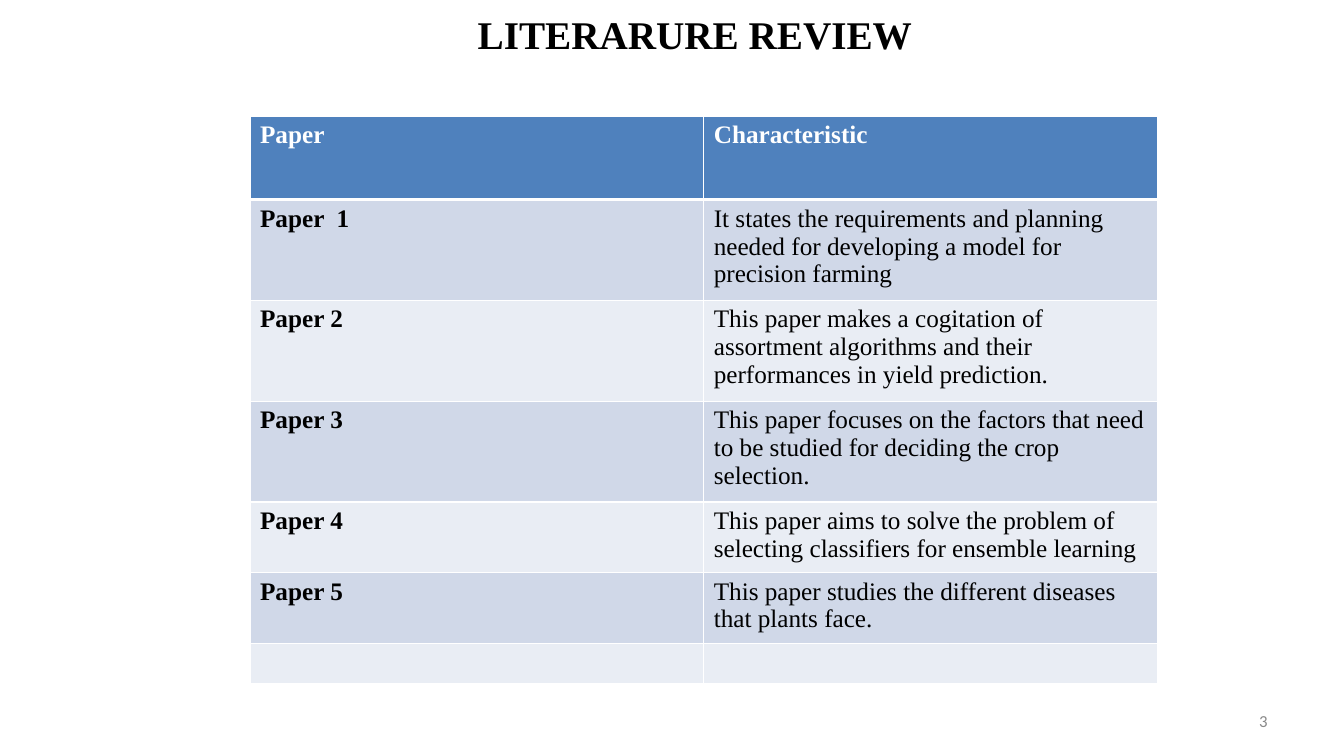
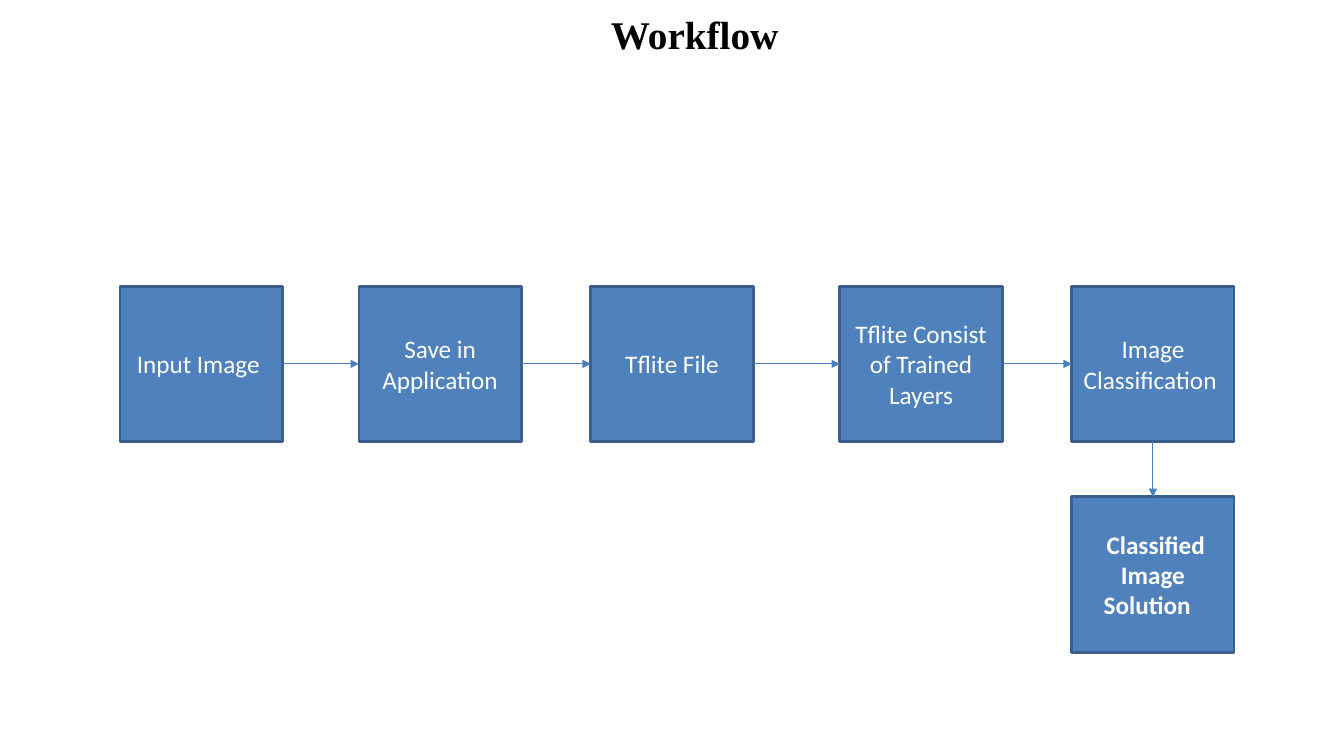
from lxml import etree
from pptx import Presentation
from pptx.dml.color import RGBColor
from pptx.enum.shapes import MSO_CONNECTOR, MSO_SHAPE
from pptx.enum.text import MSO_ANCHOR, PP_ALIGN
from pptx.oxml.ns import qn
from pptx.util import Inches, Pt

COLORS = {
    "black": "000000",
    "white": "FFFFFF",
    "blue": "4F81BD",
    "outline": "3A5F8C",
    "arrow": "4B7EBC",
    "band_dark": "D0D8E8",
    "band_light": "E9EDF4",
    "page_number": "898989",
}
SERIF = "Times New Roman"
SANS = "Calibri"


def color(name):
    return RGBColor.from_string(COLORS[name])


def write(text_frame, text, size, font, color_name, bold=False, align=None):
    """Put one formatted run into the first paragraph of text_frame."""
    paragraph = text_frame.paragraphs[0]
    paragraph.alignment = align
    run = paragraph.add_run()
    run.text = text
    run.font.size = Pt(size)
    run.font.name = font
    run.font.bold = bold
    run.font.color.rgb = color(color_name)


presentation = Presentation()
presentation.slide_width = Inches(13.33)
presentation.slide_height = Inches(7.5)
title_only = presentation.slide_layouts[5]

# Both slides share the title position and style
slides = []
for heading in ("LITERARURE REVIEW", "Workflow"):
    slide = presentation.slides.add_slide(title_only)
    title = slide.shapes.title
    title.left, title.top = Inches(0.89), Inches(0)
    title.width, title.height = Inches(12), Inches(0.67)
    title.text_frame.vertical_anchor = MSO_ANCHOR.MIDDLE
    write(title.text_frame, heading, 28, SERIF, "black", True, PP_ALIGN.CENTER)
    slides.append(slide)
review_slide, workflow_slide = slides

# Literature table
review_rows = [
    ("Paper", "Characteristic", 0.83),
    ("Paper  1", "It states the requirements and planning needed for developing "
     "a model for precision farming", 1),
    ("Paper 2", "This paper makes a cogitation of assortment algorithms and their "
     "performances in yield prediction.", 1),
    ("Paper 3", "This paper focuses on the factors that need to be studied for "
     "deciding the crop selection.", 1),
    ("Paper 4", "This paper aims to solve the problem of selecting classifiers "
     "for ensemble learning", 0.7),
    ("Paper 5", "This paper studies the different diseases that plants face.", 0.7),
    ("", "", 0.4),
]
table = review_slide.shapes.add_table(
    len(review_rows), 2, Inches(2.48), Inches(1.15), Inches(9), Inches(5.63)
).table

for row_index, (paper, characteristic, height) in enumerate(review_rows):
    table.rows[row_index].height = Inches(height)
    is_header = row_index == 0
    if is_header:
        fill_name = "blue"
    else:
        fill_name = "band_dark" if row_index % 2 else "band_light"

    for column_index, text in enumerate((paper, characteristic)):
        cell = table.cell(row_index, column_index)
        cell_properties = cell._tc.get_or_add_tcPr()
        for side in ("lnL", "lnR", "lnT", "lnB"):
            under_header = (row_index, side) in ((0, "lnB"), (1, "lnT"))
            border = etree.SubElement(cell_properties, qn(f"a:{side}"),
                                      w=str(Pt(3 if under_header else 1)))
            border_fill = etree.SubElement(border, qn("a:solidFill"))
            etree.SubElement(border_fill, qn("a:srgbClr"), val=COLORS["white"])
        cell.fill.solid()
        cell.fill.fore_color.rgb = color(fill_name)
        if text:
            write(cell.text_frame, text, 18, SERIF,
                  "white" if is_header else "black",
                  bold=is_header or column_index == 0)

page_number = review_slide.shapes.add_textbox(
    Inches(9.56), Inches(6.95), Inches(3.11), Inches(0.4))
page_number.text_frame.word_wrap = True
page_number.text_frame.vertical_anchor = MSO_ANCHOR.MIDDLE
write(page_number.text_frame, "3", 12, SANS, "page_number", align=PP_ALIGN.RIGHT)

# Workflow: five steps in a row, the result below the last one
RESULT = " Classified Image Solution  "
workflow_steps = [
    ("Input Image ", 1.19, 2.84),
    ("Save in Application", 3.56, 2.84),
    ("Tflite File", 5.86, 2.84),
    ("Tflite Consist of Trained Layers", 8.33, 2.84),
    ("Image Classification ", 10.63, 2.84),
    (RESULT, 10.63, 4.93),
]
boxes = []
for text, left, top in workflow_steps:
    box = workflow_slide.shapes.add_shape(
        MSO_SHAPE.RECTANGLE, Inches(left), Inches(top), Inches(1.61), Inches(1.54))
    box.shadow.inherit = False
    box.fill.solid()
    box.fill.fore_color.rgb = color("blue")
    box.line.color.rgb = color("outline")
    box.line.width = Pt(2)
    box.text_frame.word_wrap = True
    box.text_frame.vertical_anchor = MSO_ANCHOR.MIDDLE
    write(box.text_frame, text, 18, SANS, "white", text == RESULT, PP_ALIGN.CENTER)
    boxes.append(box)

for source, target in zip(boxes, boxes[1:]):
    goes_down = source.left == target.left
    arrow = workflow_slide.shapes.add_connector(MSO_CONNECTOR.STRAIGHT, 0, 0, 0, 0)
    arrow.begin_connect(source, 2 if goes_down else 3)
    arrow.end_connect(target, 0 if goes_down else 1)
    arrow.line.color.rgb = color("arrow")
    arrow.line.width = Pt(0.75)
    etree.SubElement(arrow.line._get_or_add_ln(), qn("a:tailEnd"), type="triangle")
    etree.SubElement(arrow._element.spPr, qn("a:effectLst"))

presentation.save("out.pptx")
